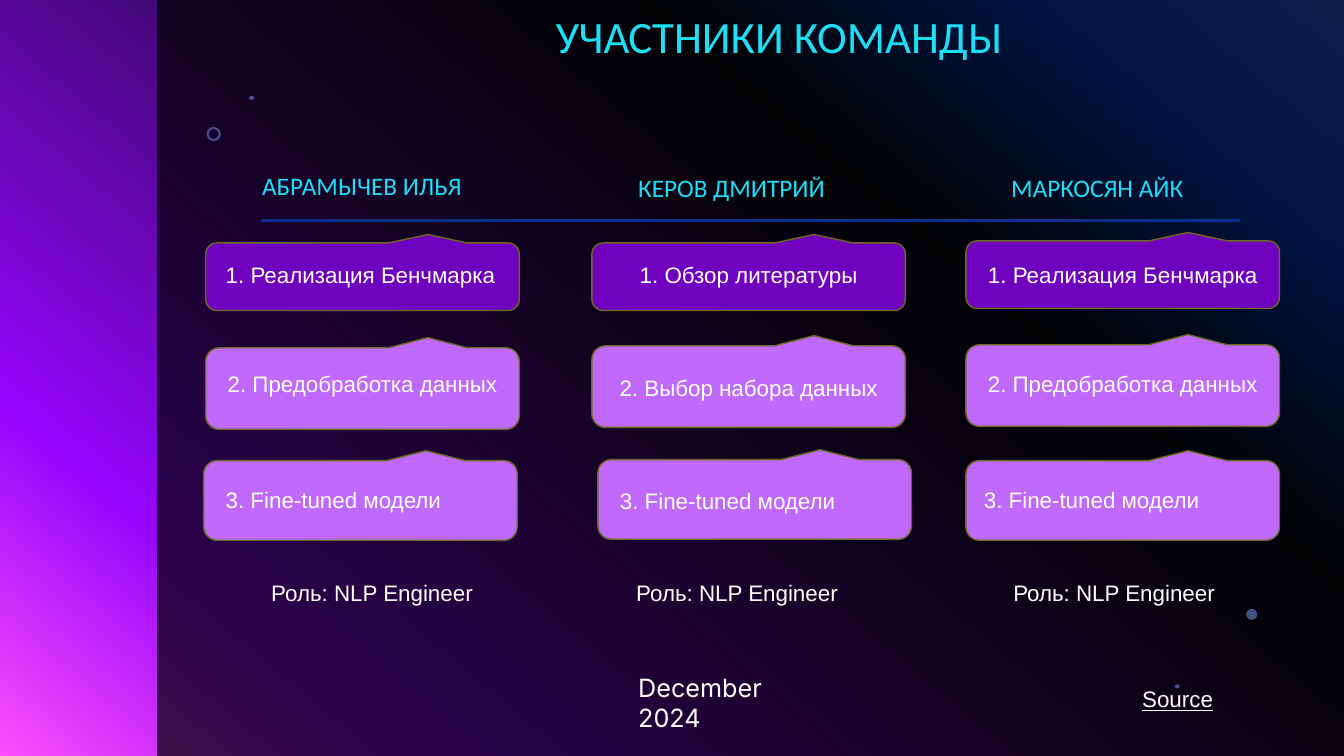
from lxml import etree
from pptx import Presentation
from pptx.dml.color import RGBColor
from pptx.enum.shapes import MSO_CONNECTOR, MSO_SHAPE
from pptx.enum.text import MSO_ANCHOR, MSO_AUTO_SIZE, PP_ALIGN
from pptx.oxml import parse_xml
from pptx.oxml.ns import nsdecls, qn
from pptx.util import Inches, Pt

COLORS = {
    "cyan": "1CDFF5", "white": "FFFFFF", "black": "000000", "dot": "83A7FD",
    "rule": "0A2F8F", "dark": "6F02BE", "light": "BF69FD", "edge": "6E6A21",
}
BACKDROP = [(0, "316CFC"), (14, "0343DF"), (31, "02090E"), (81, "9405FC"), (100, "FC4EFB")]
BACKDROP_ANGLE = 130

TITLE = "УЧАСТНИКИ КОМАНДЫ"
ROLE = "Роль: NLP Engineer"
DATE = "December 2024"
LINK = "Source"

MEMBERS = [
    {"name": "АБРАМЫЧЕВ ИЛЬЯ", "name_at": (2.6, 1.65), "col": 2.04, "role_x": 2.25,
     "tasks": ["1. Реализация Бенчмарка", "2. Предобработка данных", "3. Fine-tuned модели"],
     "shift": [(0, 0), (0, 0.02), (-0.02, 0)], "text_shift": [(-0.02, 0), (0, 0), (0.1, 0)]},
    {"name": "КЕРОВ ДМИТРИЙ", "name_at": (6.33, 1.67), "col": 5.87, "role_x": 5.87,
     "tasks": ["1. Обзор литературы", "2. Выбор набора данных", "3. Fine-tuned модели"],
     "shift": [(0, 0), (0, 0), (0.06, -0.01)], "text_shift": [(0, 0), (0, 0.04), (0.18, 0.01)]},
    {"name": "МАРКОСЯН АЙК", "name_at": (10.03, 1.67), "col": 9.58, "role_x": 9.61,
     "tasks": ["1. Реализация Бенчмарка", "2. Предобработка данных", "3. Fine-tuned модели"],
     "shift": [(0, -0.02), (0, -0.01), (0, 0)], "text_shift": [(0, 0), (0, 0), (0.08, 0)]},
]
ROWS = [
    {"top": 2.41, "bottom": 3.08, "text_top": 2.54, "width": 3.11, "fill": "dark", "align": PP_ALIGN.CENTER},
    {"top": 3.43, "bottom": 4.24, "text_top": 3.62, "width": 3.11, "fill": "light", "align": PP_ALIGN.CENTER},
    {"top": 4.57, "bottom": 5.36, "text_top": 4.77, "width": 2.88, "fill": "light", "align": PP_ALIGN.LEFT},
]
CARD_W, TEXT_H, ROLE_W = 3.11, 0.37, 2.88
DOTS = [
    (MSO_SHAPE.OVAL, 12.36, 6.04, 0.11, 0.11), (MSO_SHAPE.OVAL, 11.65, 6.79, 0.05, 0.04),
    (MSO_SHAPE.DONUT, 2.05, 1.26, 0.14, 0.14), (MSO_SHAPE.OVAL, 2.47, 0.95, 0.05, 0.04),
]


def rgb(name):
    return RGBColor.from_string(COLORS[name])


def box(*lengths):
    return [Inches(n) for n in lengths]


def add_filled(kind, at, fill, alpha=100, edge=None):
    sp = shapes.add_shape(kind, *box(*at))
    sp.shadow.inherit = False
    sp.fill.solid()
    sp.fill.fore_color.rgb = rgb(fill)
    if alpha < 100:
        color = sp.fill._xPr.find(qn("a:solidFill"))[0]
        etree.SubElement(color, qn("a:alpha")).set("val", str(alpha * 1000))
    if edge:
        sp.line.color.rgb = rgb(edge)
        sp.line.width = Pt(1)
    else:
        sp.line.fill.background()
    return sp


def write(sp, text, size=16, font="Arial", color="white", align=PP_ALIGN.LEFT,
          anchor=MSO_ANCHOR.TOP, spacing=None, insets=None, grow=False):
    tf = sp.text_frame
    tf.word_wrap = True
    tf.auto_size = MSO_AUTO_SIZE.SHAPE_TO_FIT_TEXT if grow else MSO_AUTO_SIZE.NONE
    tf.vertical_anchor = anchor
    if insets:
        tf.margin_left, tf.margin_top, tf.margin_right, tf.margin_bottom = box(*insets)
    p = tf.paragraphs[0]
    p.alignment = align
    if spacing:
        p.line_spacing = spacing
    r = p.add_run()
    r.text = text
    r.font.size, r.font.name = Pt(size), font
    r.font.color.rgb = rgb(color)
    return r


def add_text(at, text, **style):
    return write(shapes.add_textbox(*box(*at)), text, **style)


prs = Presentation()
prs.slide_width, prs.slide_height = Inches(13.33), Inches(7.5)
slide = prs.slides.add_slide(prs.slide_layouts[5])
shapes = slide.shapes

stops = "".join(f'<a:gs pos="{pos * 1000}"><a:srgbClr val="{c}"/></a:gs>' for pos, c in BACKDROP)
slide._element.cSld.insert(0, parse_xml(
    f'<p:bg {nsdecls("p", "a")}><p:bgPr><a:gradFill rotWithShape="1"><a:gsLst>{stops}</a:gsLst>'
    f'<a:lin ang="{BACKDROP_ANGLE * 60000}" scaled="0"/></a:gradFill><a:effectLst/></p:bgPr></p:bg>'))

add_filled(MSO_SHAPE.RECTANGLE, (1.56, 0, 11.77, 7.5), "black", 70)
for kind, *at in DOTS:
    dot = add_filled(kind, at, "dot", 49)
    if kind == MSO_SHAPE.DONUT:
        dot.adjustments[0] = 0.14

rule = shapes.add_connector(MSO_CONNECTOR.STRAIGHT, *box(2.59, 2.19, 12.3, 2.19))
rule.line.color.rgb = rgb("rule")
rule.line.width = Pt(2)
etree.SubElement(rule._element.spPr, qn("a:effectLst"))

heading = {"font": "Calibri", "color": "cyan", "anchor": MSO_ANCHOR.BOTTOM,
           "spacing": 0.9, "insets": (0, 0.05, 0.1, 0.05)}
title = shapes.title
title.left, title.top, title.width, title.height = box(5.51, 0.01, 4.62, 0.67)
write(title, TITLE, size=32, **heading)
shapes._spTree.append(title._element)

for member in MEMBERS:
    add_text((*member["name_at"], 2.53, 0.39), member["name"], size=18, **heading)
    for row, task, (dx, dy), (tx, ty) in zip(ROWS, member["tasks"], member["shift"], member["text_shift"]):
        at = (member["col"] + dx, row["top"] + dy, CARD_W, row["bottom"] - row["top"])
        card = add_filled(MSO_SHAPE.ROUNDED_RECTANGULAR_CALLOUT, at, row["fill"], edge="edge")
        card.rotation = 180
        add_text((member["col"] + tx, row["text_top"] + ty, row["width"], TEXT_H), task,
                 align=row["align"], grow=True)
    add_text((member["role_x"], 5.7, ROLE_W, TEXT_H), ROLE, align=PP_ALIGN.CENTER, grow=True)

add_text((6.33, 6.82, 1.77, 0.3), DATE, size=18, font="Inter", anchor=MSO_ANCHOR.MIDDLE,
         spacing=Pt(21.6), insets=(0, 0, 0, 0))
link = add_text((11.13, 6.75, 1.1, TEXT_H), LINK, align=PP_ALIGN.CENTER, grow=True)
link.font.underline = True

prs.save("out.pptx")
